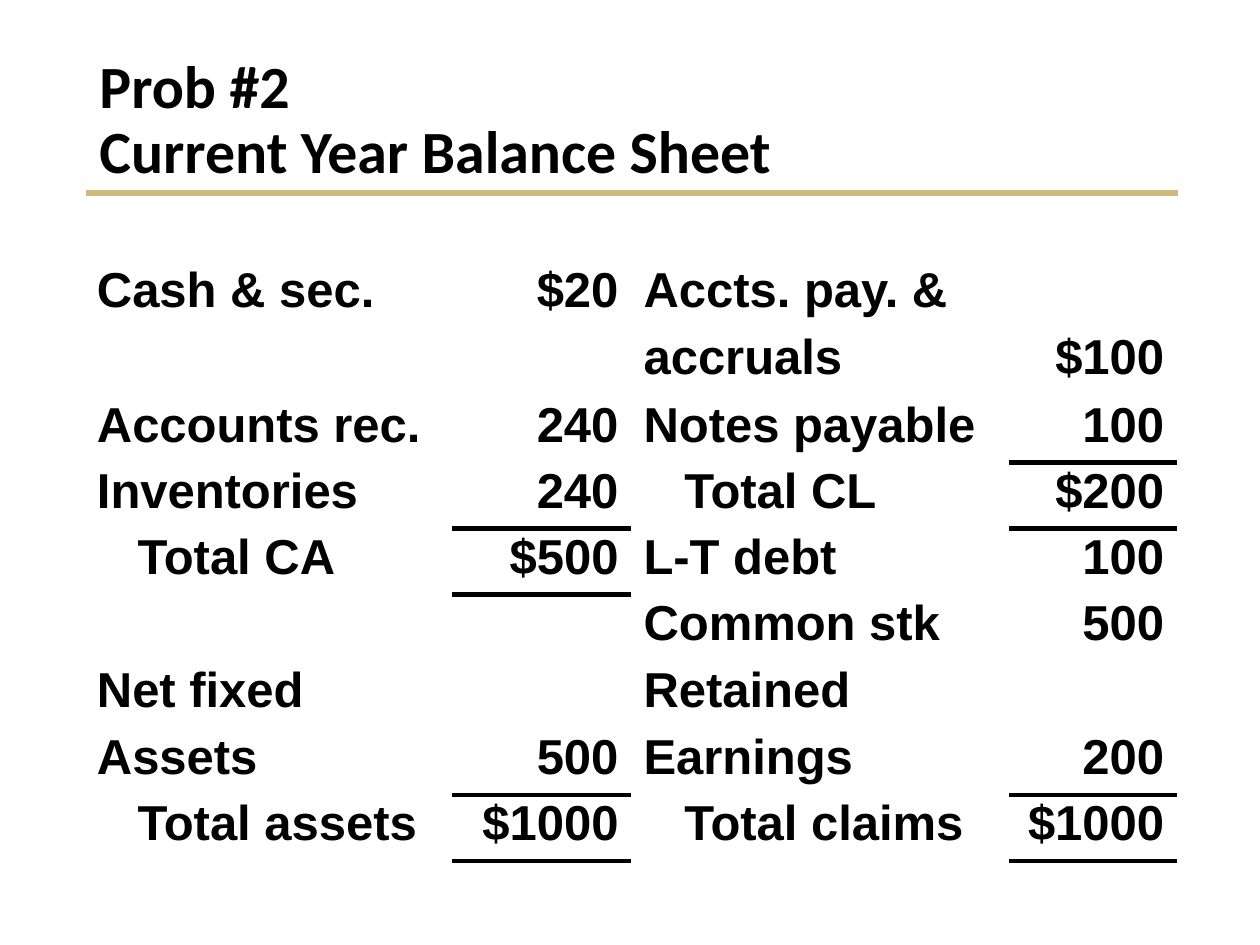
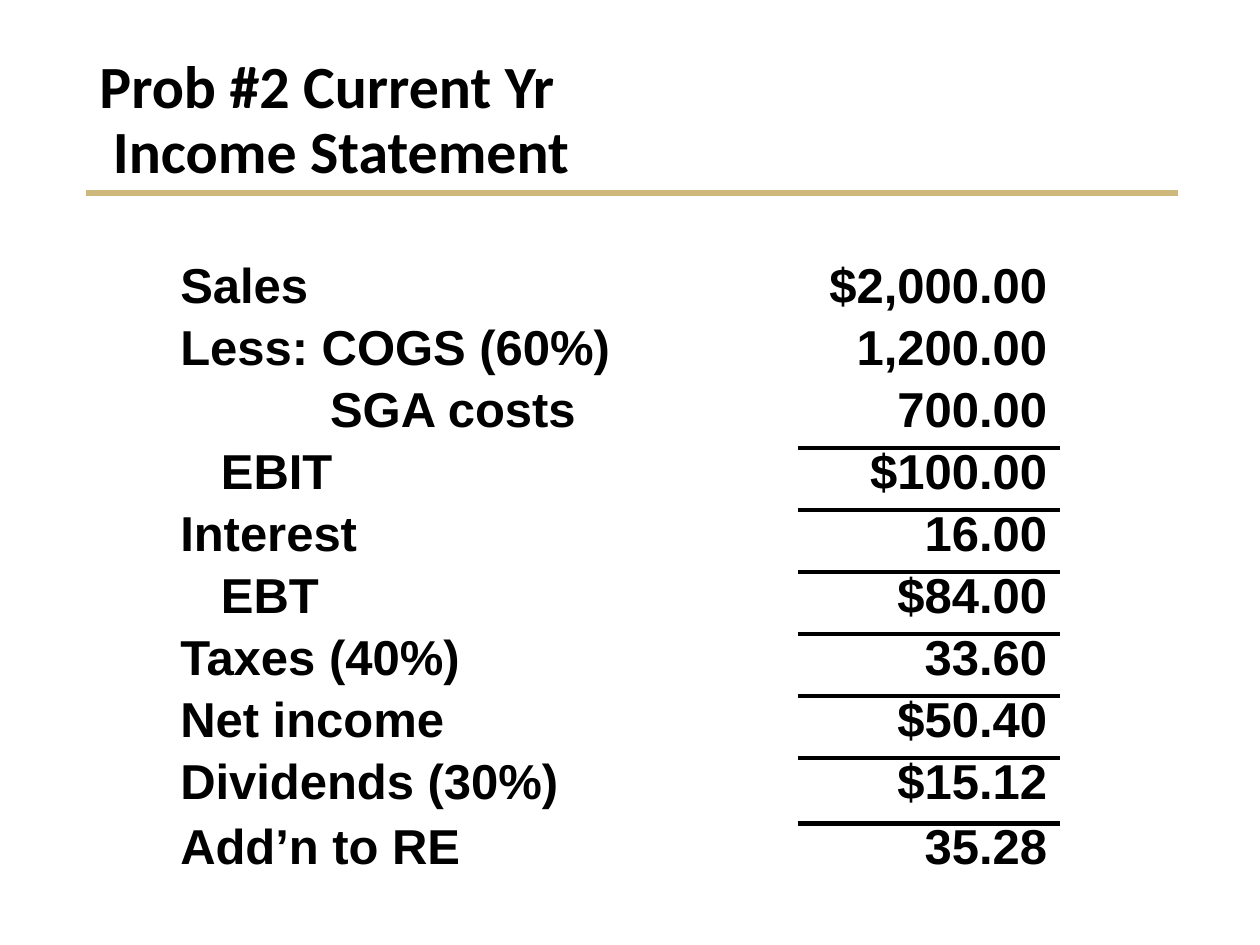
from lxml import etree
from pptx import Presentation
from pptx.dml.color import RGBColor
from pptx.enum.shapes import MSO_CONNECTOR
from pptx.enum.text import MSO_ANCHOR, MSO_AUTO_SIZE, PP_ALIGN
from pptx.oxml import parse_xml
from pptx.oxml.ns import nsdecls, qn
from pptx.util import Cm, Pt

LEFT, RIGHT = PP_ALIGN.LEFT, PP_ALIGN.RIGHT
MIDDLE = MSO_ANCHOR.MIDDLE
NO_FIT = MSO_AUTO_SIZE.NONE
STRAIGHT = MSO_CONNECTOR.STRAIGHT

BLACK = RGBColor(0x00, 0x00, 0x00)
GOLD = RGBColor(0xCF, 0xB8, 0x7C)
TITLE_FONT, BODY_FONT = "Calibri", "Arial"
RULE_WIDTH = Pt(3)
PLAIN_STYLE = "{2D5ABB26-0587-4C30-8999-92F81FD0307C}"
INDENT, DEEP_INDENT = Cm(0.82), Cm(3.02)


def format_text(p, font, size, spacing, align):
    p.alignment = align
    p.line_spacing = spacing
    p.space_before = Pt(0)
    p.font.name = font
    p.font.size = Pt(size)
    p.font.bold = True
    p.font.color.rgb = BLACK
    for r in p.runs:
        r.font.name = font
        r.font.size = Pt(size)
        r.font.bold = True
        r.font.color.rgb = BLACK


def add_border(cell, side):
    cell._tc.get_or_add_tcPr().append(parse_xml(
        f'<a:{side} {nsdecls("a")} w="{RULE_WIDTH}"><a:solidFill>'
        f'<a:srgbClr val="{BLACK}"/></a:solidFill></a:{side}>'))


# Statement contents; "ruled" lists the cells with a line below them
balance_sheet = {
    "title": "Prob #2\vCurrent Year Balance Sheet",
    "left": 1.7,
    "columns": [7.42, 3.6, 7.62, 3.38],
    "heights": [1.33] * 9,
    "spacing": 0.9,
    "rows": [
        ("Cash & sec.", "$20", "Accts. pay. &", ""),
        ("", "", "accruals", "$100"),
        ("Accounts rec.", "240", "Notes payable", "100"),
        ("Inventories", "240", "Total CL", "$200"),
        ("Total CA", "$500", "L-T debt", "100"),
        ("", "", "Common stk", "500"),
        ("Net fixed", "", "Retained", ""),
        ("Assets", "500", "Earnings", "200"),
        ("Total assets", "$1000", "Total claims", "$1000"),
    ],
    "indents": {(3, 2): INDENT, (4, 0): INDENT, (8, 0): INDENT, (8, 2): INDENT},
    "ruled": {(2, 3), (3, 1), (7, 1), (7, 3), (8, 1), (8, 3)},
}
income_statement = {
    "title": "Prob #2 Current Yr\v Income Statement",
    "left": 3.38,
    "columns": [12.7, 5.28],
    "heights": [1.25] * 8 + [1.32, 1.25],
    "spacing": 0.8,
    "rows": [
        ("Sales", "$2,000.00"),
        ("Less: COGS (60%)", "1,200.00"),
        ("SGA costs", "700.00"),
        ("EBIT", "$100.00"),
        ("Interest", "16.00"),
        ("EBT", "$84.00"),
        ("Taxes (40%)", "33.60"),
        ("Net income", "$50.40"),
        ("Dividends (30%)", "$15.12"),
        ("Add’n to RE", "35.28"),
    ],
    "indents": {(2, 0): DEEP_INDENT, (3, 0): INDENT, (5, 0): INDENT},
    "ruled": {(2, 1), (4, 1), (6, 1), (7, 1)},
}

prs = Presentation()
prs.slide_width, prs.slide_height = Cm(25.4), Cm(19.05)

for sheet in (balance_sheet, income_statement):
    s = prs.slides.add_slide(prs.slide_layouts[5])

    # Gold line under the title
    line = s.shapes.add_connector(STRAIGHT, Cm(1.73), Cm(3.89), Cm(23.75), Cm(3.89))
    line.line.color.rgb = GOLD
    line.line.width = RULE_WIDTH
    etree.SubElement(line._element.spPr, qn("a:effectLst"))

    # Title
    title = s.shapes.title
    title.left, title.top = Cm(1.75), Cm(1.02)
    title.width, title.height = Cm(21.9), Cm(2.87)
    tf = title.text_frame
    tf.text = sheet["title"]
    tf.auto_size = NO_FIT
    tf.vertical_anchor = MIDDLE
    format_text(tf.paragraphs[0], TITLE_FONT, 34.2, 0.9, LEFT)

    # Statement table
    rows, columns, heights = sheet["rows"], sheet["columns"], sheet["heights"]
    table = s.shapes.add_table(len(rows), len(columns), Cm(sheet["left"]), Cm(5.28),
                               Cm(sum(columns)), Cm(sum(heights))).table
    table.first_row = table.horz_banding = False
    table._tbl.tblPr.find(qn("a:tableStyleId")).text = PLAIN_STYLE
    for column, width in zip(table.columns, columns):
        column.width = Cm(width)
    for row, height in zip(table.rows, heights):
        row.height = Cm(height)

    for i, texts in enumerate(rows):
        for j, text in enumerate(texts):
            cell = table.cell(i, j)
            cell.text = text
            p = cell.text_frame.paragraphs[0]
            if (i, j) in sheet["indents"]:
                p._p.get_or_add_pPr().set("marL", str(sheet["indents"][i, j]))
            # Labels and amounts alternate
            format_text(p, BODY_FONT, 28, sheet["spacing"], RIGHT if j % 2 else LEFT)
            if (i - 1, j) in sheet["ruled"]:
                add_border(cell, "lnT")
            if (i, j) in sheet["ruled"]:
                add_border(cell, "lnB")
            cell.fill.background()

prs.save("out.pptx")
